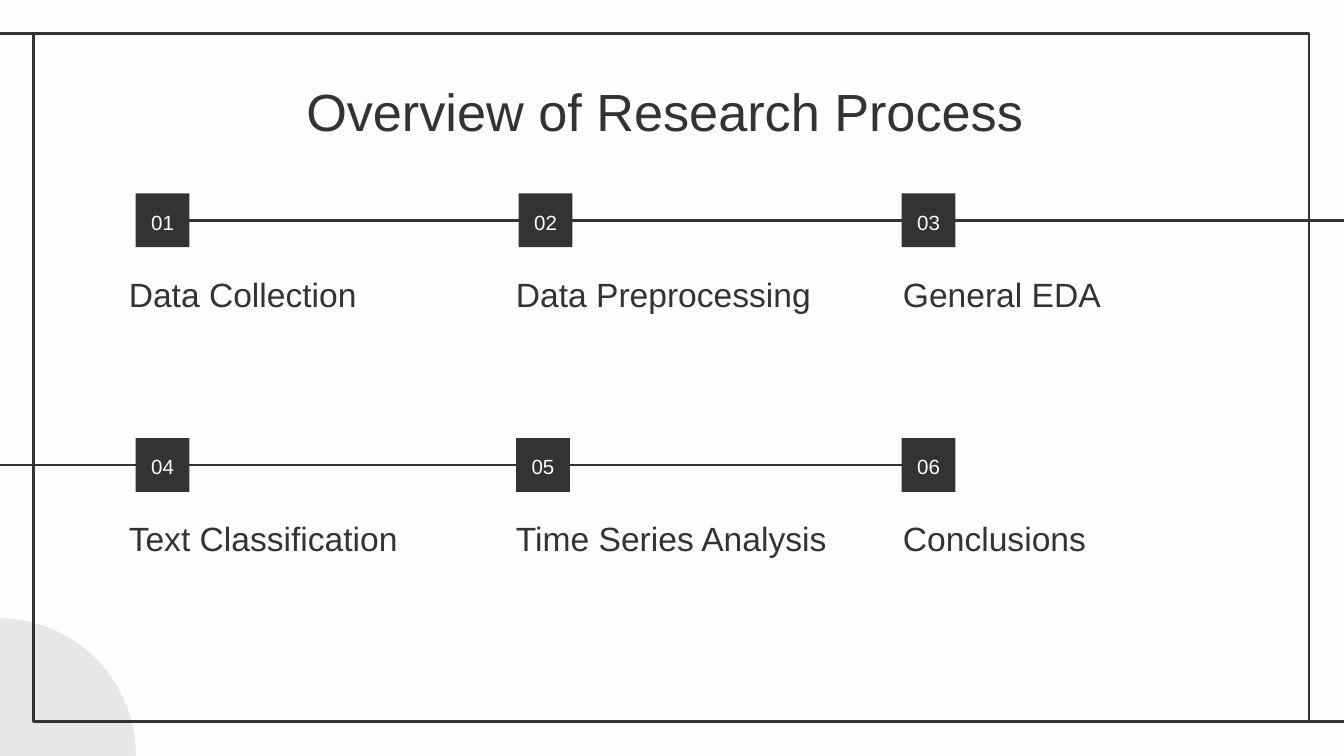
from dataclasses import dataclass
from typing import NamedTuple

from lxml import etree
from pptx import Presentation
from pptx.dml.color import RGBColor
from pptx.enum.shapes import MSO_CONNECTOR as Link, MSO_SHAPE as Shape
from pptx.enum.text import MSO_ANCHOR as Anchor, PP_ALIGN as Align
from pptx.oxml.ns import qn
from pptx.util import Inches, Pt


@dataclass(frozen=True)
class Theme:
    ink: RGBColor = RGBColor(0x33, 0x33, 0x33)
    paper: RGBColor = RGBColor(0xFD, 0xFD, 0xFD)
    disc: RGBColor = RGBColor(0xE8, 0xE7, 0xE7)
    font: str = "Arial"
    title: int = 28
    label: int = 18
    number: int = 11
    line: float = 1.5


class Box(NamedTuple):
    x: float
    y: float
    w: float
    h: float


class Step(NamedTuple):
    number: str
    name: str
    shift: float  # marker's left edge within the row
    width: float = 2.52  # label width


THEME = Theme()
PITCH = 2.88  # gap between label columns
SIDE = 0.4  # marker size


def add_rule(slide, start, end):
    ends = [Inches(v) for v in (*start, *end)]
    rule = slide.shapes.add_connector(Link.STRAIGHT, *ends)
    rule.line.color.rgb = THEME.ink
    rule.line.width = Pt(THEME.line)
    etree.SubElement(rule._element.spPr, qn("a:effectLst"))
    return rule


def add_form(slide, kind, box, fill=None):
    form = slide.shapes.add_shape(kind, *[Inches(v) for v in box])
    form.shadow.inherit = False
    if fill is None:
        form.fill.background()
        form.line.color.rgb = THEME.ink
        form.line.width = Pt(THEME.line)
    else:
        form.fill.solid()
        form.fill.fore_color.rgb = fill
        form.line.fill.background()
    return form


def set_text(shape, text, size, color, align, anchor, space=1.0):
    frame = shape.text_frame
    frame.text = text
    frame.word_wrap = True
    frame.vertical_anchor = anchor
    frame.margin_left = frame.margin_right = Inches(0.1)
    frame.margin_top = frame.margin_bottom = Inches(0.1)
    para = frame.paragraphs[0]
    para.alignment = align
    para.line_spacing = space
    font = para.runs[0].font
    font.name, font.size, font.color.rgb = THEME.font, Pt(size), color


def add_label(slide, box, text, size, align, anchor, space=1.0):
    label = slide.shapes.add_textbox(*[Inches(v) for v in box])
    set_text(label, text, size, THEME.ink, align, anchor, space)


def add_frame(slide, box):
    """Corner disc, outline and the two lines that run off the slide."""
    disc = Box(box.x - 1.28, box.y + 4.35, 2.04, 2.04)
    add_form(slide, Shape.OVAL, disc, THEME.disc)
    add_form(slide, Shape.RECTANGLE, box)
    right, foot = box.x + box.w, box.y + box.h
    add_rule(slide, (box.x, box.y), (box.x - 0.27, box.y))
    add_rule(slide, (right + 0.29, foot), (right, foot))


def add_row(slide, box, steps, edge, anchor, side):
    """Line from x = edge to one marker's side, then markers and labels."""
    mid = box.y + SIDE / 2
    rule = add_rule(slide, (box.x, mid), (edge, mid))
    marks = []
    for i, step in enumerate(steps):
        spot = Box(box.x + step.shift, box.y, SIDE, SIDE)
        mark = add_form(slide, Shape.RECTANGLE, spot, THEME.ink)
        set_text(mark, step.number, THEME.number, THEME.paper,
                 Align.CENTER, Anchor.MIDDLE, 1.15)
        marks.append(mark)
        place = Box(box.x + i * PITCH, box.y + box.h - 0.42, step.width, 0.42)
        add_label(slide, place, step.name, THEME.label,
                  Align.LEFT, Anchor.BOTTOM, 1.15)
    rule.begin_connect(marks[anchor], side)


def main():
    deck = Presentation()
    deck.slide_width = Inches(10)
    deck.slide_height = deck.slide_width * 9 // 16
    slide = deck.slides.add_slide(deck.slide_layouts[6])
    slide.background.fill.solid()
    slide.background.fill.fore_color.rgb = THEME.paper

    add_frame(slide, Box(0.25, 0.25, 9.49, 5.12))

    # Title
    add_label(slide, Box(0.73, 0.49, 8.43, 0.63),
              "Overview of Research Process", THEME.title,
              Align.CENTER, Anchor.TOP)

    # Upper row leaves to the right, lower row comes from the left
    upper = [Step("01", "Data Collection", 0.15),
             Step("02", "Data Preprocessing", 3.0),
             Step("03", "General EDA", 5.85)]
    lower = [Step("04", "Text Classification", 0.15),
             Step("05", "Time Series Analysis", 2.98, 2.81),
             Step("06", "Conclusions", 5.85)]
    add_row(slide, Box(0.86, 1.44, 8.27, 1.0), upper, 10.17, 0, 3)
    add_row(slide, Box(0.86, 3.26, 8.27, 0.99), lower, -0.18, -1, 1)

    deck.save("out.pptx")


if __name__ == "__main__":
    main()
